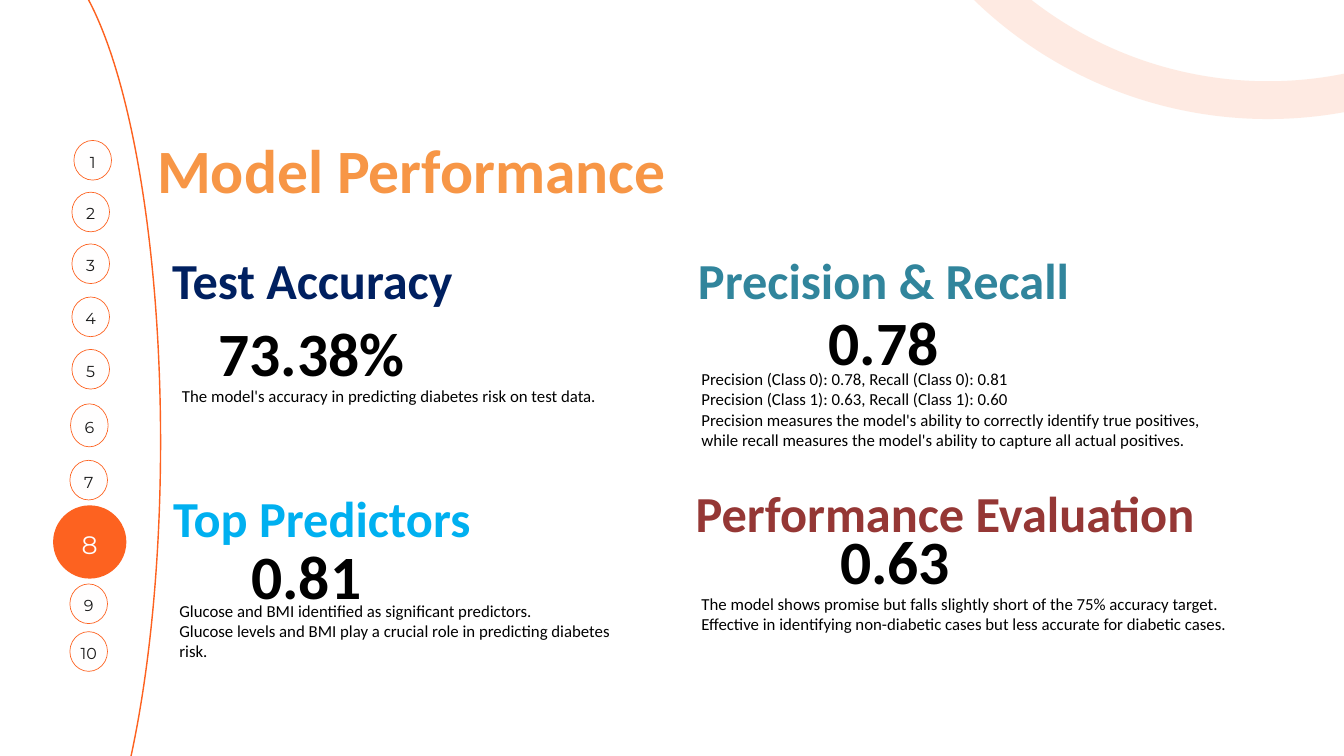
from lxml.etree import SubElement
from pptx import Presentation
from pptx.dml.color import RGBColor
from pptx.enum.shapes import MSO_SHAPE
from pptx.enum.text import MSO_ANCHOR, MSO_AUTO_SIZE, PP_ALIGN
from pptx.oxml.ns import qn
from pptx.util import Inches, Pt

ORANGE = "FD6220"
OFF_WHITE = "FFFEFE"


def color(hex_string):
    return RGBColor.from_string(hex_string)


def add_text(frame, lines, size, hex_string, bold=False, font="Calibri",
             align=PP_ALIGN.LEFT, spacing=None):
    for index, line in enumerate(lines):
        paragraph = frame.paragraphs[0] if index == 0 else frame.add_paragraph()
        paragraph.alignment = align
        if spacing:
            paragraph.line_spacing = Pt(spacing)
        run = paragraph.add_run()
        run.text = line
        run.font.name = font
        run.font.size = Pt(size)
        run.font.bold = bold
        run.font.color.rgb = color(hex_string)


presentation = Presentation()
presentation.slide_width = Inches(20)
presentation.slide_height = Inches(11.25)
slide = presentation.slides.add_slide(presentation.slide_layouts[6])
slide.background.fill.solid()
slide.background.fill.fore_color.rgb = color("FFFFFF")

# Large outlines: side arc and pale corner ring
for left, top, width, height, weight, opacity in [
    (-1.44, -0.75, 3.83, 14.66, 1.5, 100),
    (12.86, -10.53, 12.02, 12.02, 40.5, 12),
]:
    outline = slide.shapes.add_shape(
        MSO_SHAPE.OVAL, Inches(left), Inches(top), Inches(width), Inches(height))
    outline.shadow.inherit = False
    outline.fill.background()
    outline.line.color.rgb = color(ORANGE)
    outline.line.width = Pt(weight)
    if opacity < 100:
        line_color = outline.line._get_or_add_ln().find(".//" + qn("a:srgbClr"))
        SubElement(line_color, qn("a:alpha"), val=str(opacity * 1000))

# Title
title_box = slide.shapes.add_textbox(Inches(2.24), Inches(0.9), Inches(16.83), Inches(3.36))
title_box.text_frame.word_wrap = True
title_box.text_frame.auto_size = MSO_AUTO_SIZE.SHAPE_TO_FIT_TEXT
add_text(title_box.text_frame, ["Model Performance"], 66, "F79646", bold=True, spacing=152.7)

# Section headings
for heading, left, top, width, hex_string in [
    ("Test Accuracy", 1.75, 3.66, 5.8, "002060"),
    ("Precision & Recall", 10.25, 3.66, 5.8, "31859C"),
    ("Top Predictors", 1.06, 7.2, 7.46, "00B0F0"),
    ("Performance Evaluation", 9.58, 7.13, 8.97, "953735"),
]:
    box = slide.shapes.add_textbox(Inches(left), Inches(top), Inches(width), Inches(1.01))
    box.text_frame.word_wrap = True
    box.text_frame.auto_size = MSO_AUTO_SIZE.SHAPE_TO_FIT_TEXT
    add_text(box.text_frame, [heading], 54, hex_string, bold=True, align=PP_ALIGN.CENTER)

# Key figures
for figure, left, top, width in [
    ("73.38%", 3.14, 4.64, 3),
    ("0.78", 12.22, 4.48, 1.86),
    ("0.81", 3.63, 7.95, 1.86),
    ("0.63", 12.39, 7.73, 1.86),
]:
    box = slide.shapes.add_textbox(Inches(left), Inches(top), Inches(width), Inches(1.21))
    box.text_frame.word_wrap = False
    box.text_frame.auto_size = MSO_AUTO_SIZE.SHAPE_TO_FIT_TEXT
    add_text(box.text_frame, [figure], 66, "000000", bold=True, align=PP_ALIGN.CENTER)

# Explanations
for left, top, width, height, lines in [
    (2.61, 5.69, 6.39, 0.4, [
        "The model's accuracy in predicting diabetes risk on test data."]),
    (10.34, 5.44, 7.83, 1.62, [
        "Precision (Class 0): 0.78, Recall (Class 0): 0.81",
        "Precision (Class 1): 0.63, Recall (Class 1): 0.60",
        "Precision measures the model's ability to correctly identify true positives, "
        "while recall measures the model's ability to capture all actual positives."]),
    (2.57, 8.89, 6.68, 1.01, [
        "Glucose and BMI identified as significant predictors.",
        "Glucose levels and BMI play a crucial role in predicting diabetes risk."]),
    (10.34, 8.78, 8.21, 0.71, [
        "The model shows promise but falls slightly short of the 75% accuracy target.",
        "Effective in identifying non-diabetic cases but less accurate for diabetic cases."]),
]:
    box = slide.shapes.add_textbox(Inches(left), Inches(top), Inches(width), Inches(height))
    box.text_frame.word_wrap = True
    box.text_frame.auto_size = MSO_AUTO_SIZE.SHAPE_TO_FIT_TEXT
    add_text(box.text_frame, lines, 18, "000000")

# Page markers, with the current page enlarged
CURRENT_PAGE = 8
marker_places = [
    (1.1, 2.09, 0.56, 0.59), (1.07, 2.86, 0.56, 0.59), (1.07, 3.63, 0.56, 0.59),
    (1.07, 4.42, 0.56, 0.59), (1.07, 5.2, 0.56, 0.59), (1.05, 6.01, 0.56, 0.64),
    (1.04, 6.85, 0.56, 0.59), (0.79, 7.52, 1.09, 1.09), (1.04, 8.69, 0.56, 0.59),
    (1.04, 9.4, 0.56, 0.59),
]
for page, place in enumerate(marker_places, start=1):
    current = page == CURRENT_PAGE
    marker = slide.shapes.add_shape(MSO_SHAPE.OVAL, *[Inches(value) for value in place])
    marker.shadow.inherit = False
    marker.fill.solid()
    marker.fill.fore_color.rgb = color(ORANGE if current else OFF_WHITE)
    if current:
        marker.line.fill.background()
    else:
        marker.line.color.rgb = color(ORANGE)
        marker.line.width = Pt(0.75)
    frame = marker.text_frame
    frame.margin_left = frame.margin_right = frame.margin_top = frame.margin_bottom = 0
    frame.word_wrap = False
    frame.vertical_anchor = MSO_ANCHOR.MIDDLE
    size = 27 if current else 17
    add_text(frame, [str(page)], size, OFF_WHITE if current else "191919",
             font="Montserrat", align=PP_ALIGN.CENTER, spacing=size * 1.4)

presentation.save("out.pptx")
